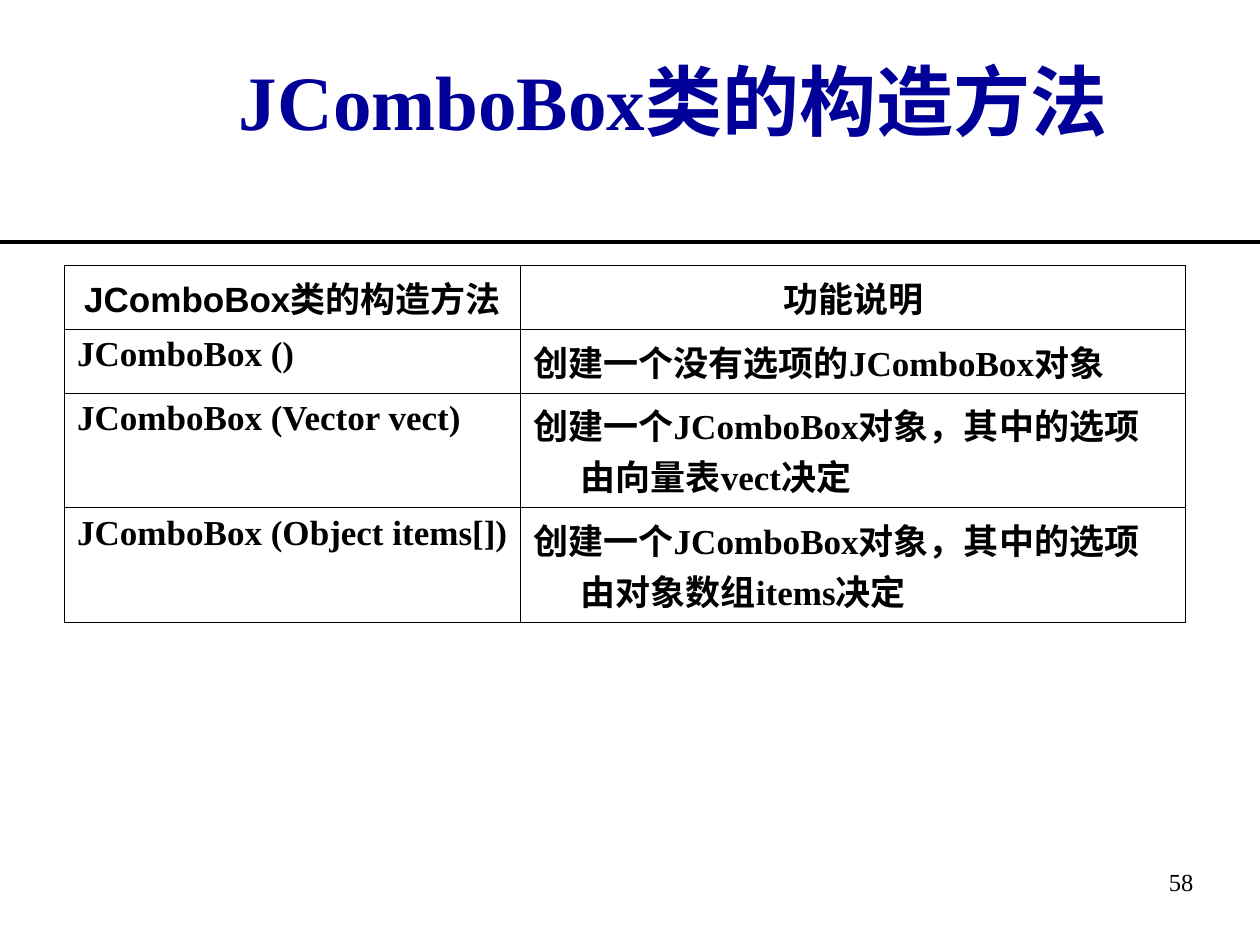
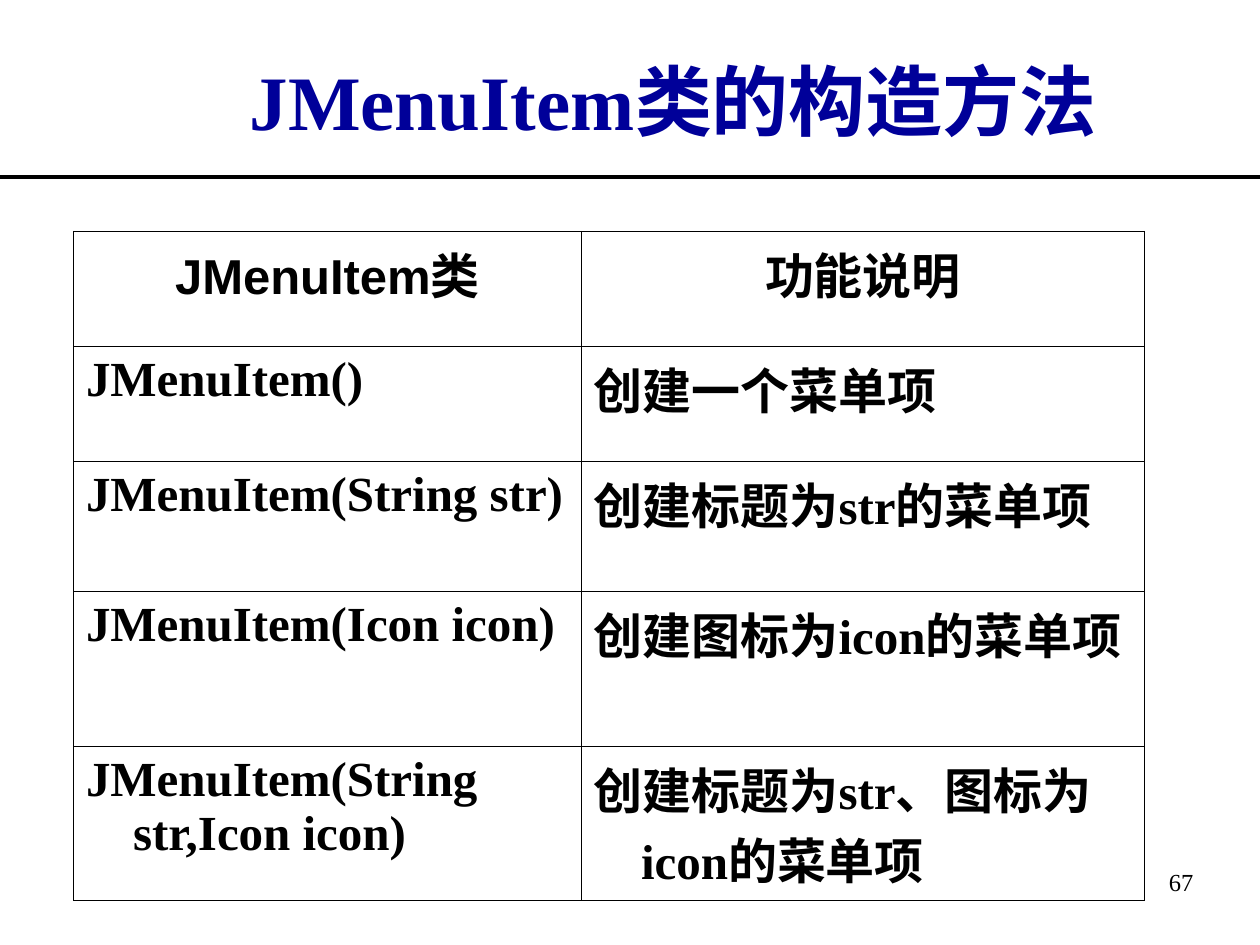
from dataclasses import dataclass

from lxml import etree
from pptx import Presentation
from pptx.dml.color import RGBColor
from pptx.enum.lang import MSO_LANGUAGE_ID
from pptx.enum.shapes import MSO_CONNECTOR
from pptx.enum.text import MSO_ANCHOR, PP_ALIGN
from pptx.oxml import parse_xml
from pptx.oxml.ns import nsdecls, qn
from pptx.util import Cm, Pt

NAVY = RGBColor(0x00, 0x00, 0x99)
BLACK = RGBColor(0x00, 0x00, 0x00)
SERIF, SANS = "Times New Roman", "Arial"
CHINESE = MSO_LANGUAGE_ID.SIMPLIFIED_CHINESE
CENTER, LEFT, RIGHT = PP_ALIGN.CENTER, PP_ALIGN.LEFT, PP_ALIGN.RIGHT
TOP, MIDDLE = MSO_ANCHOR.TOP, MSO_ANCHOR.MIDDLE
STRAIGHT = MSO_CONNECTOR.STRAIGHT

SLIDE_WIDTH, SLIDE_HEIGHT = Cm(25.4), Cm(19.05)
TITLE_BOX = (Cm(2.96), Cm(0.43), Cm(21.59), Cm(3.18))
NUMBER_BOX = (Cm(22.84), Cm(17.35), Cm(1.47), Cm(1.7))
HANGING = Cm(0.95)
BORDER_WIDTH = Pt(0.45)

TITLE_FORMAT = {"size": Pt(44), "name": SERIF, "bold": True, "language_id": CHINESE}
NUMBER_FORMAT = {"size": Pt(14), "name": SERIF}


@dataclass(frozen=True)
class ConstructorPage:
    title: str
    number: int
    rule_top: float
    table_left: float
    table_top: float
    column_widths: tuple[float, ...]
    row_heights: tuple[float, ...]
    text_size: int
    rows: tuple[tuple[str, str], ...]


PAGES = (
    ConstructorPage(
        "JComboBox类的构造方法 ", 58, 4.87, 1.3, 5.35,
        (9.2, 13.4), (1.29, 1.28, 2.31, 2.31), 20,
        (
            ("JComboBox类的构造方法", "功能说明"),
            ("JComboBox ()", "创建一个没有选项的JComboBox对象"),
            ("JComboBox (Vector vect)",
             "创建一个JComboBox对象，其中的选项由向量表vect决定"),
            ("JComboBox (Object items[])",
             "创建一个JComboBox对象，其中的选项由对象数组items决定"),
        ),
    ),
    ConstructorPage(
        "JMenuItem类的构造方法 ", 67, 3.57, 1.48, 4.66,
        (10.24, 11.35), (2.32, 2.33, 2.62, 3.11, 3.11), 28,
        (
            ("JMenuItem类", "功能说明"),
            ("JMenuItem()", "创建一个菜单项"),
            ("JMenuItem(String str)", "创建标题为str的菜单项"),
            ("JMenuItem(Icon icon)", "创建图标为icon的菜单项"),
            ("JMenuItem(String str,Icon icon)", "创建标题为str、图标为icon的菜单项"),
        ),
    ),
)


def write(frame, text: str, align, color: RGBColor, font_format: dict) -> None:
    paragraph = frame.paragraphs[0]
    paragraph.alignment = align
    run = paragraph.add_run()
    run.text = text
    run.font.color.rgb = color
    for attribute, value in font_format.items():
        setattr(run.font, attribute, value)


def add_text(slide, box: tuple, text: str, align, anchor, color: RGBColor,
             font_format: dict) -> None:
    frame = slide.shapes.add_textbox(*box).text_frame
    frame.word_wrap = True
    frame.vertical_anchor = anchor
    write(frame, text, align, color, font_format)


def add_rule(slide, top: float) -> None:
    rule = slide.shapes.add_connector(STRAIGHT, 0, Cm(top), SLIDE_WIDTH, Cm(top))
    rule.line.color.rgb = BLACK
    rule.line.width = Pt(2.25)
    etree.SubElement(rule._element.spPr, qn("a:effectLst"))


def outline_cell(cell) -> None:
    properties = cell._tc.get_or_add_tcPr()
    for position, side in enumerate("LRTB"):
        properties.insert(position, parse_xml(
            f'<a:ln{side} {nsdecls("a")} w="{BORDER_WIDTH}"><a:solidFill>'
            f'<a:srgbClr val="{BLACK}"/></a:solidFill></a:ln{side}>'))


def add_constructor_table(slide, page: ConstructorPage) -> None:
    table = slide.shapes.add_table(
        len(page.rows), len(page.column_widths),
        Cm(page.table_left), Cm(page.table_top),
        Cm(sum(page.column_widths)), Cm(sum(page.row_heights))).table
    table.first_row = table.horz_banding = False
    for column, width in zip(table.columns, page.column_widths):
        column.width = Cm(width)
    for row, height in zip(table.rows, page.row_heights):
        row.height = Cm(height)

    for row_index, texts in enumerate(page.rows):
        is_header = row_index == 0
        cell_format = {"size": Pt(page.text_size), "bold": True,
                       "name": SANS if is_header else SERIF, "language_id": CHINESE}
        for column_index, text in enumerate(texts):
            cell = table.cell(row_index, column_index)
            cell.fill.background()
            outline_cell(cell)
            write(cell.text_frame, text, CENTER if is_header else LEFT, BLACK, cell_format)
            indents = cell.text_frame.paragraphs[0]._p.get_or_add_pPr()
            indents.set("marL", str(HANGING))
            indents.set("indent", str(-HANGING))


def main() -> None:
    deck = Presentation()
    deck.slide_width, deck.slide_height = SLIDE_WIDTH, SLIDE_HEIGHT
    blank = deck.slide_layouts[6]
    for page in PAGES:
        slide = deck.slides.add_slide(blank)
        # Title, constructor table, rule and page number
        add_text(slide, TITLE_BOX, page.title, CENTER, MIDDLE, NAVY, TITLE_FORMAT)
        add_constructor_table(slide, page)
        add_rule(slide, page.rule_top)
        add_text(slide, NUMBER_BOX, str(page.number), RIGHT, TOP, BLACK, NUMBER_FORMAT)
    deck.save("out.pptx")


if __name__ == "__main__":
    main()
